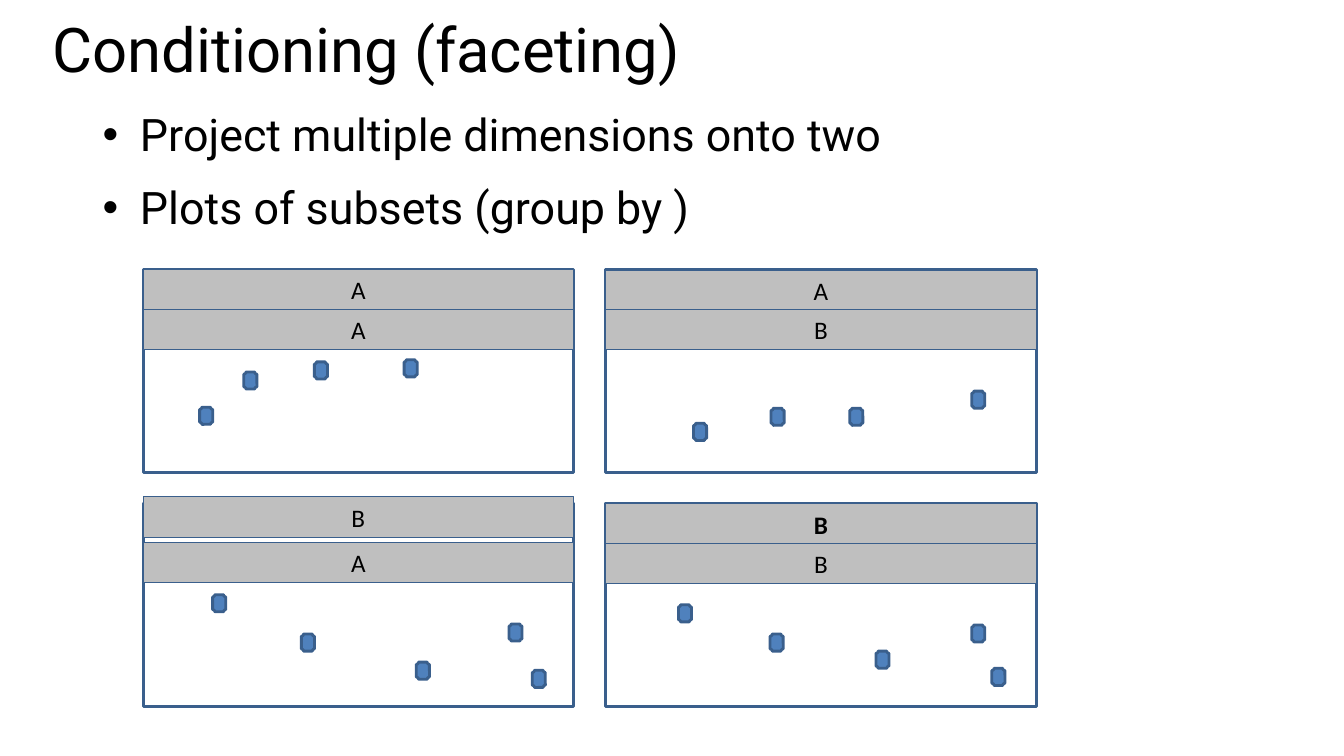
from dataclasses import dataclass
from lxml.etree import SubElement
from pptx import Presentation
from pptx.dml.color import RGBColor
from pptx.enum.shapes import MSO_SHAPE
from pptx.enum.text import MSO_ANCHOR, PP_ALIGN
from pptx.oxml.ns import qn
from pptx.util import Pt

TITLE = "Conditioning (faceting)"
BULLETS = ["Project multiple dimensions onto two", "Plots of subsets (group by )"]

# Each panel: column, row, strips (label, offset from panel top, bold), dots (left, top)
PANELS = [
    (0, 0, [("A", 0, False), ("A", 28.8, False)],
     [(142.6, 290.9), (174.2, 265.7), (224.6, 258.5), (288.7, 257)]),
    (1, 0, [("A", 0.7, False), ("B", 28.8, False)],
     [(495.4, 302.4), (550.8, 291.6), (607, 291.6), (694.1, 279.4)]),
    (0, 1, [("B", -4.3, False), ("A", 28.1, False)],
     [(151.9, 424.8), (215.3, 452.9), (297.4, 473), (380.2, 478.8), (363.6, 445.7)]),
    (1, 1, [("B", 0.7, True), ("B", 28.8, False)],
     [(484.6, 432), (550.1, 452.9), (625.7, 465.1), (708.5, 477.4), (694.1, 446.4)]),
]

LEFT, TOP = 102.24, 192.24
STEP_X, STEP_Y = 330.48, 167.04
WIDE, HIGH = 307.44, 145.44
STRIP = 28.8
DOT_W, DOT_H = 9.36, 12.24
INDENT = 26.64


@dataclass(frozen=True)
class Theme:
    ink: str = "000000"
    edge: str = "3A5F8C"
    dot: str = "4F81BD"
    strip: str = "BFBFBF"
    text: str = "Roboto"
    label: str = "Calibri"
    title_size: float = 44
    body_size: float = 32
    label_size: float = 18
    thick: float = 2
    thin: float = 0.75


THEME = Theme()


def style(para, face, size, bold=False):
    font = para.font
    font.name, font.size, font.bold = face, Pt(size), bold
    font.color.rgb = RGBColor.from_string(THEME.ink)


def add_text(slide, box, lines, size):
    """Add a top-anchored text box and return its paragraphs."""
    frame = slide.shapes.add_textbox(*map(Pt, box)).text_frame
    frame.word_wrap = True
    frame.vertical_anchor = MSO_ANCHOR.TOP
    frame.text = "\n".join(lines)
    for para in frame.paragraphs:
        style(para, THEME.text, size)
    return frame.paragraphs


def add_bullet(para):
    para.space_before = Pt(14)
    props = para._p.get_or_add_pPr()
    props.set("marL", str(Pt(INDENT)))
    props.set("indent", str(Pt(-INDENT)))
    SubElement(props, qn("a:buFont")).set("typeface", "Arial")
    SubElement(props, qn("a:buChar")).set("char", "•")


def add_block(slide, kind, box, fill, weight):
    """Add an outlined shape; a fill of None leaves it clear."""
    shape = slide.shapes.add_shape(kind, *map(Pt, box))
    shape.shadow.inherit = False
    if fill:
        shape.fill.solid()
        shape.fill.fore_color.rgb = RGBColor.from_string(fill)
    else:
        shape.fill.background()
    shape.line.color.rgb = RGBColor.from_string(THEME.edge)
    shape.line.width = Pt(weight)
    return shape


def add_panel(slide, col, row, strips, dots):
    left, top = LEFT + col * STEP_X, TOP + row * STEP_Y
    add_block(slide, MSO_SHAPE.RECTANGLE, (left, top, WIDE, HIGH), None, THEME.thick)
    for label, drop, bold in strips:
        box = (left, top + drop, WIDE, STRIP)
        strip = add_block(slide, MSO_SHAPE.RECTANGLE, box, THEME.strip, THEME.thin)
        frame = strip.text_frame
        frame.text = label
        frame.vertical_anchor = MSO_ANCHOR.TOP
        para = frame.paragraphs[0]
        para.alignment = PP_ALIGN.CENTER
        style(para, THEME.label, THEME.label_size, bold)
    for x, y in dots:
        add_block(slide, MSO_SHAPE.PLAQUE, (x, y, DOT_W, DOT_H), THEME.dot, THEME.thick)


def main():
    deck = Presentation()
    deck.slide_width, deck.slide_height = Pt(960), Pt(540)
    slide = deck.slides.add_slide(deck.slide_layouts[6])
    title = add_text(slide, (30.24, 14.4, 907.2, 83.52), [TITLE], THEME.title_size)
    title[0].line_spacing = 0.8
    for para in add_text(slide, (66.24, 72.72, 785.52, 53.28), BULLETS, THEME.body_size):
        add_bullet(para)
    for panel in PANELS:
        add_panel(slide, *panel)
    deck.save("out.pptx")


if __name__ == "__main__":
    main()
